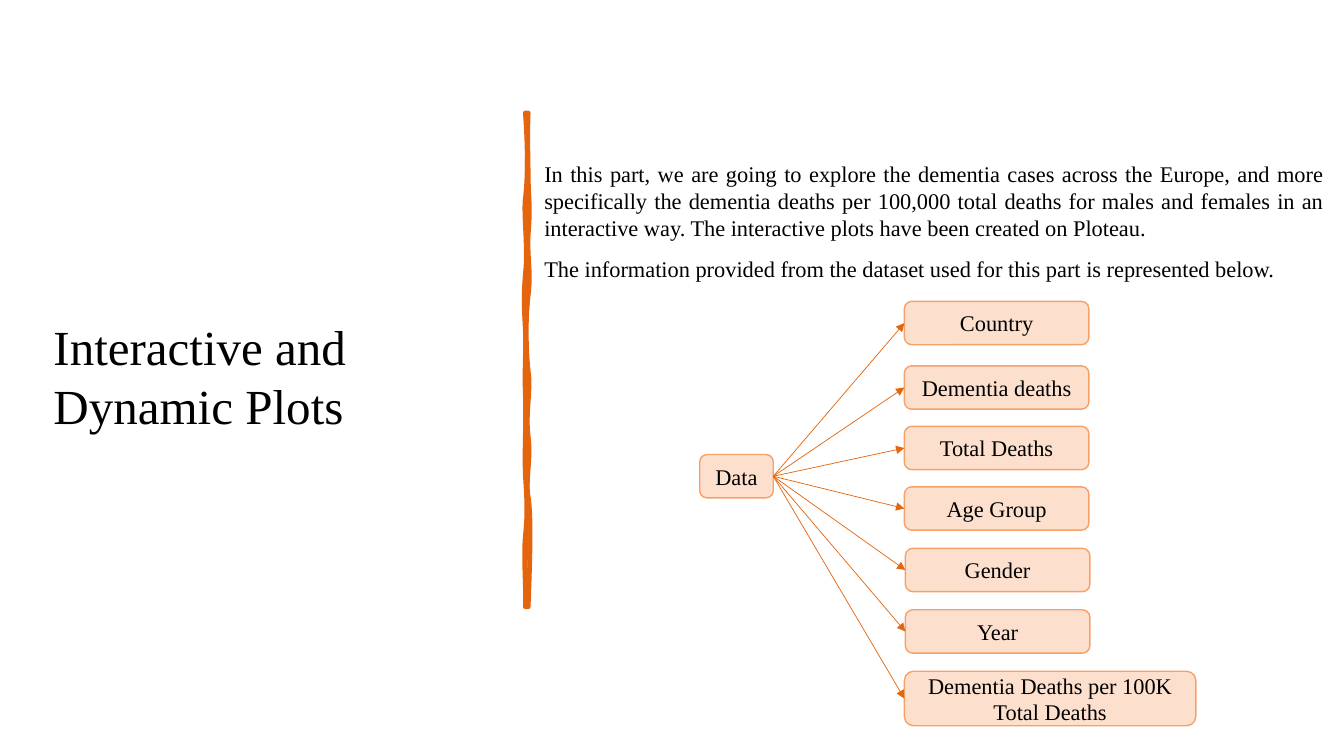
from pptx import Presentation
from pptx.dml.color import RGBColor
from pptx.enum.shapes import MSO_CONNECTOR, MSO_SHAPE
from pptx.enum.text import MSO_ANCHOR, PP_ALIGN
from pptx.oxml.ns import qn
from pptx.util import Pt
from lxml.etree import SubElement

PX = 9144
COLORS = {"paper": "FFFFFF", "text": "000000", "brush": "E4650E",
          "box": "FCE0CD", "border": "F6A168"}
FONT = "Times New Roman"


def write(paragraph, text, size, align):
    paragraph.alignment = align
    run = paragraph.add_run()
    run.text = text
    run.font.name = FONT
    run.font.size = Pt(size)
    run.font.color.rgb = RGBColor.from_string(COLORS["text"])


def add_box(text, left, top, width, height):
    box = slide.shapes.add_shape(
        MSO_SHAPE.ROUNDED_RECTANGLE, left * PX, top * PX, width * PX, height * PX)
    box.shadow.inherit = False
    box.fill.solid()
    box.fill.fore_color.rgb = RGBColor.from_string(COLORS["box"])
    box.line.color.rgb = RGBColor.from_string(COLORS["border"])
    box.line.width = Pt(1)
    box.text_frame.vertical_anchor = MSO_ANCHOR.MIDDLE
    write(box.text_frame.paragraphs[0], text, 16, PP_ALIGN.CENTER)
    return box


prs = Presentation()
prs.slide_width = 1333 * PX
prs.slide_height = 750 * PX
slide = prs.slides.add_slide(prs.slide_layouts[5])

backdrop = slide.shapes.add_shape(MSO_SHAPE.RECTANGLE, 0, 0, 1333 * PX, 750 * PX)
backdrop.shadow.inherit = False
backdrop.fill.solid()
backdrop.fill.fore_color.rgb = RGBColor.from_string(COLORS["paper"])
backdrop.line.fill.background()

title = slide.shapes.title
title._element.addprevious(backdrop._element)
title.left, title.top, title.width, title.height = 43 * PX, 164 * PX, 478 * PX, 417 * PX
title.text_frame.vertical_anchor = MSO_ANCHOR.MIDDLE
write(title.text_frame.paragraphs[0], "Interactive and Dynamic Plots", 35, PP_ALIGN.LEFT)

brush_outline = [
    (523, 142, 524, 149, 524, 177), (525, 206, 526, 207, 524, 233),
    (523, 259, 527, 269, 524, 293), (521, 317, 522, 350, 524, 368),
    (527, 386, 521, 410, 524, 433), (527, 456, 521, 476, 524, 493),
    (527, 511, 526, 551, 524, 602), (523, 602, 522, 602, 521, 602),
    (522, 584, 519, 553, 521, 532), (523, 512, 523, 500, 521, 472),
    (520, 444, 522, 422, 521, 392), (520, 363, 522, 347, 521, 327),
    (520, 307, 519, 297, 521, 272), (524, 247, 519, 212, 521, 197),
    (523, 182, 524, 152, 521, 112), (523, 112, 523, 112, 524, 112),
]
brush_core = [
    (524, 144, 522, 148, 524, 177), (526, 207, 525, 221, 524, 233),
    (523, 245, 528, 285, 524, 313), (520, 341, 524, 351, 524, 378),
    (525, 404, 522, 417, 524, 443), (527, 469, 524, 490, 524, 523),
    (524, 555, 522, 583, 524, 602), (523, 602, 522, 603, 521, 602),
    (524, 580, 519, 572, 521, 542), (524, 513, 521, 490, 521, 472),
    (522, 454, 520, 428, 521, 402), (523, 377, 522, 357, 521, 337),
    (520, 317, 518, 284, 521, 257), (524, 231, 522, 198, 521, 177),
    (520, 156, 522, 131, 521, 112), (522, 112, 524, 112, 524, 112),
]
builder = slide.shapes.build_freeform(524, 112, scale=PX)
for curves in (brush_outline, brush_core):
    builder.move_to(524, 112)
    for curve in curves:
        builder.add_line_segments(zip(curve[::2], curve[1::2]), close=False)
brush = builder.convert_to_shape()
brush.shadow.inherit = False
brush.fill.solid()
brush.fill.fore_color.rgb = RGBColor.from_string(COLORS["brush"])
brush.line.color.rgb = RGBColor.from_string(COLORS["brush"])
brush.line.width = Pt(3.25)

drawn = next(brush._element.iter(qn("a:path")))
start = drawn[0]
corners = [line[0] for line in drawn.findall(qn("a:lnTo"))]
size = {"w": drawn.get("w"), "h": drawn.get("h")}
origin = dict(start[0].attrib)
stroke_list = drawn.getparent()
stroke_list.remove(drawn)
half = len(corners) // 2
for half_corners, look in ((corners[:half], {"fill": "none"}),
                           (corners[half:], {"stroke": "0"})):
    stroke = SubElement(stroke_list, qn("a:path"), {**size, **look})
    SubElement(SubElement(stroke, qn("a:moveTo")), qn("a:pt"), origin)
    for first in range(0, half, 3):
        bezier = SubElement(stroke, qn("a:cubicBezTo"))
        bezier.extend(half_corners[first:first + 3])
    SubElement(stroke, qn("a:close"))

intro = slide.shapes.add_textbox(530 * PX, 90 * PX, 793 * PX, 259 * PX).text_frame
intro.word_wrap = True
intro.vertical_anchor = MSO_ANCHOR.MIDDLE
sentences = [
    "In this part, we are going to explore the dementia cases across the Europe, and more "
    "specifically the dementia deaths per 100,000 total deaths for males and females in an "
    "interactive way. The interactive plots have been created on Ploteau.",
    "The information provided from the dataset used for this part is represented below.",
]
for index, sentence in enumerate(sentences):
    paragraph = intro.add_paragraph() if index else intro.paragraphs[0]
    paragraph.space_before = Pt(10)
    write(paragraph, sentence, 16, PP_ALIGN.JUSTIFY)

data = add_box("Data", 694, 451, 73, 43)
fields = [
    ("Country", 897, 299, 183, 43),
    ("Dementia deaths", 897, 363, 183, 43),
    ("Total Deaths", 897, 423, 183, 43),
    ("Age Group", 897, 483, 183, 43),
    ("Gender", 898, 544, 183, 43),
    ("Year", 898, 605, 183, 43),
    ("Dementia Deaths per 100K Total Deaths", 897, 666, 289, 54),
]
for field in fields:
    field_box = add_box(*field)
    arrow = slide.shapes.add_connector(MSO_CONNECTOR.STRAIGHT, 0, 0, 0, 0)
    arrow.begin_connect(data, 3)
    arrow.end_connect(field_box, 1)
    arrow.line.color.rgb = RGBColor.from_string(COLORS["brush"])
    arrow.line.width = Pt(0.5)
    SubElement(arrow.line._get_or_add_ln(), qn("a:tailEnd"), type="triangle")
    SubElement(arrow._element.spPr, qn("a:effectLst"))

prs.save("out.pptx")
